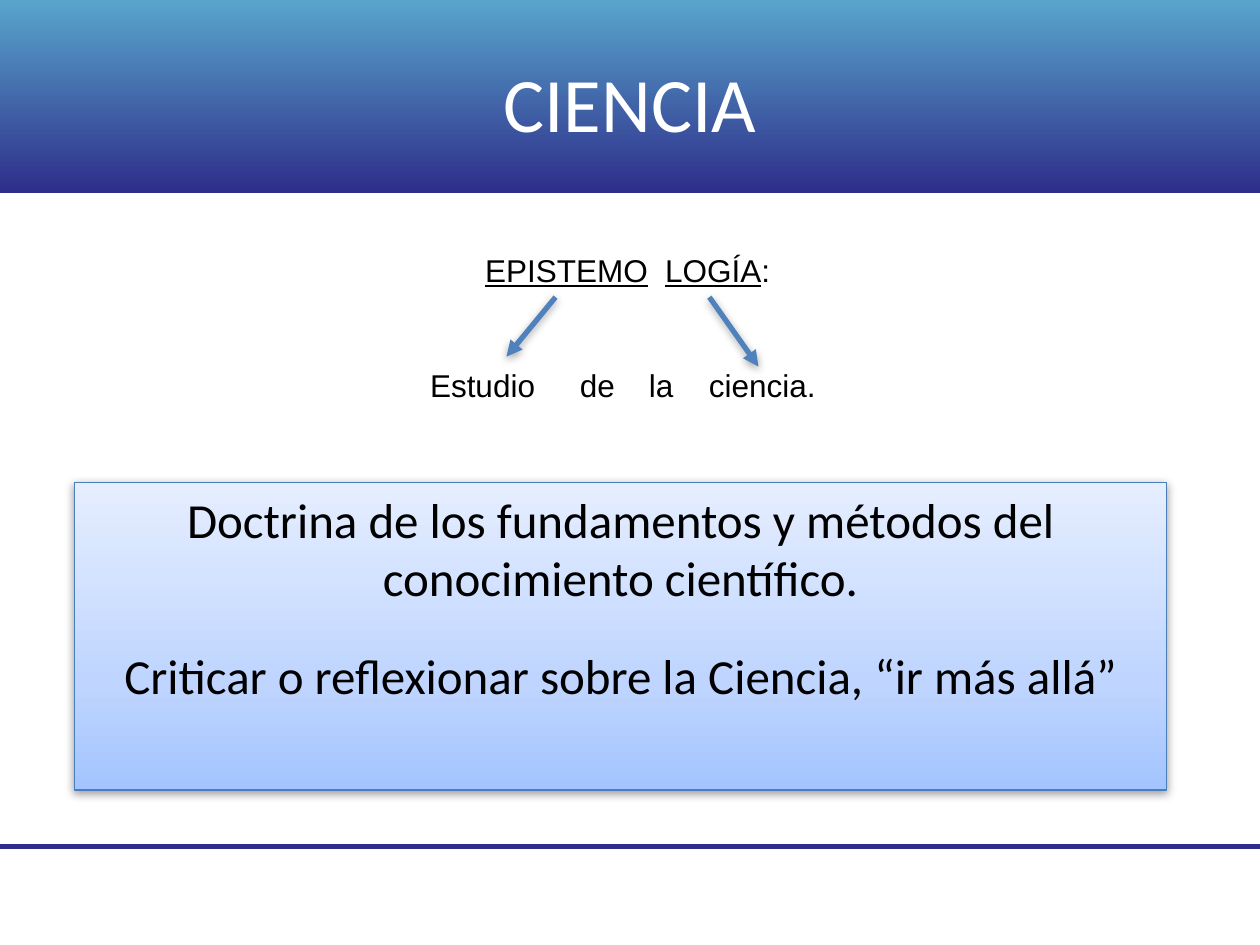
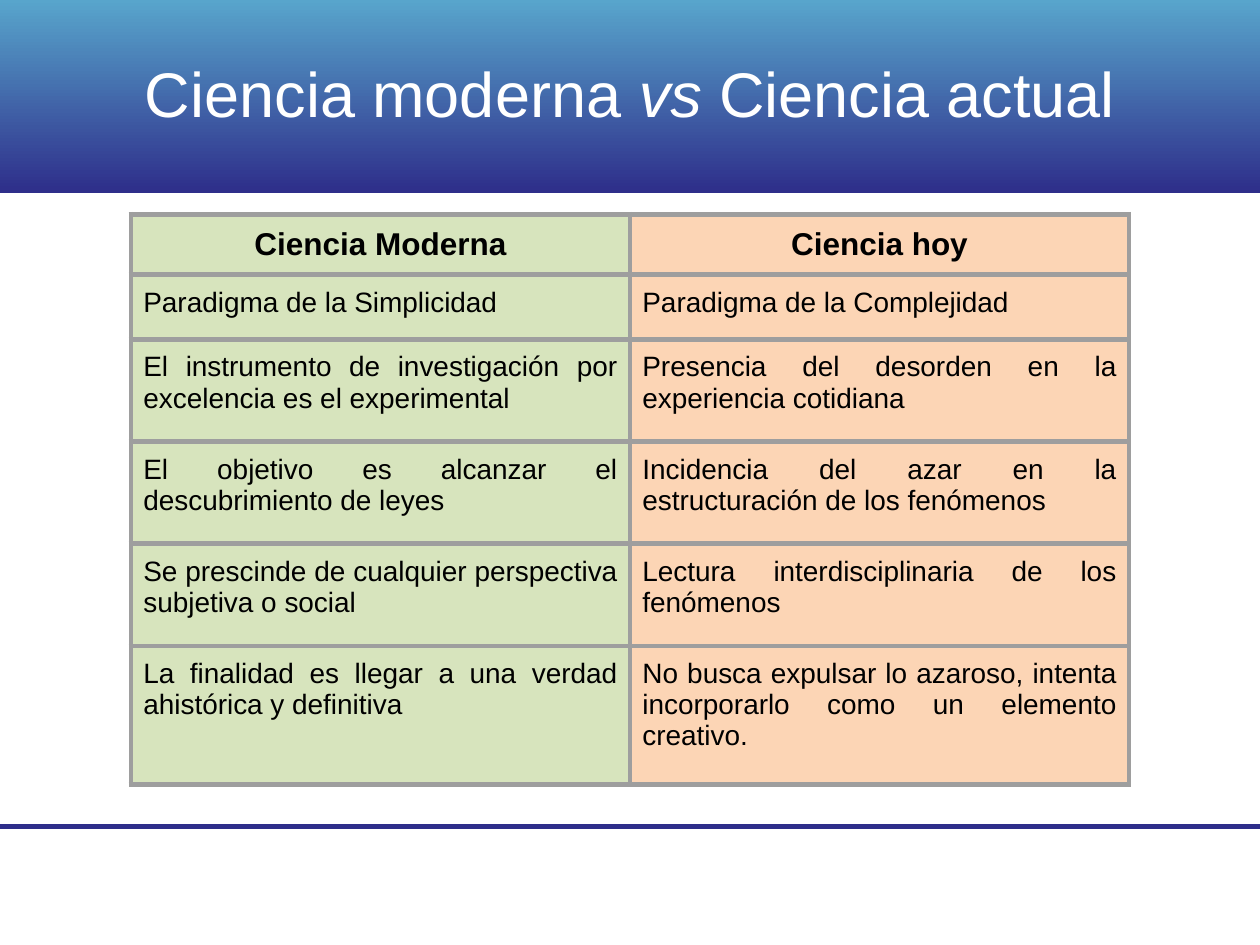
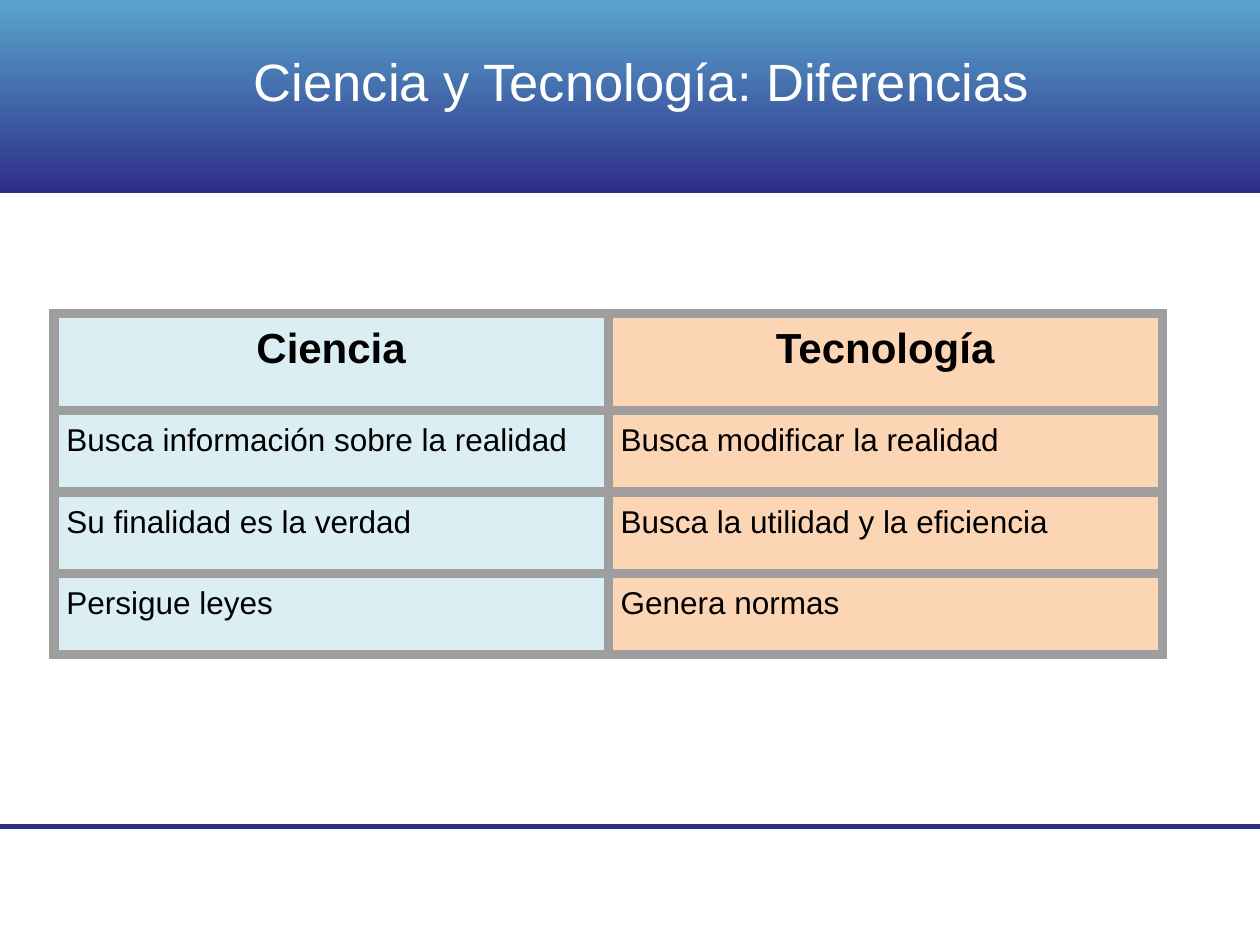
from lxml.etree import SubElement
from pptx import Presentation
from pptx.dml.color import RGBColor
from pptx.enum.shapes import MSO_CONNECTOR as Connector, MSO_SHAPE as Preset
from pptx.enum.text import MSO_ANCHOR as Anchor, PP_ALIGN as Align
from pptx.oxml.ns import qn
from pptx.util import Cm, Pt

COLORS = {
    "white": "FFFFFF", "black": "000000",
    "sky": "58A5CC", "navy": "2E2E8A",
    "arrow": "4F81BD", "edge": "4A7EBB",
    "panel_low": "A3C4FF", "panel_mid": "BFD5FF", "panel_high": "E5EEFF",
    "grid": "9E9E9E", "green": "D7E4BD", "peach": "FCD5B5", "ice": "DBEEF4",
}
WIDTH, HEIGHT = 25.4, 19.05
WIDE_INSET, SLIM_INSET = 0.25, 0.13


def rgb(name):
    return RGBColor.from_string(COLORS[name])


def add_color(parent, name):
    return SubElement(parent, qn("a:srgbClr"), val=COLORS[name])


class Deck:
    """Holds the shared style and the current slide."""

    def __init__(self):
        self.deck = Presentation()
        self.deck.slide_width, self.deck.slide_height = Cm(WIDTH), Cm(HEIGHT)
        self.page = None

    def new_page(self, rule_top):
        self.page = self.deck.slides.add_slide(self.deck.slide_layouts[5])
        band = self.rectangle((0, 0, WIDTH, 3.89), [(0, "sky"), (100, "navy")], 90)
        band.line.fill.background()
        self.line((0, rule_top), (WIDTH, rule_top), "navy")

    # Text
    def add_paragraphs(self, frame, paragraphs, size, font="Arial", color="black",
                       align=Align.LEFT, gap=0, tabs=()):
        """Each paragraph is a list of (text, marks); marks are among b, i, u."""
        for index, spans in enumerate(paragraphs):
            para = frame.add_paragraph() if index else frame.paragraphs[0]
            para.alignment = align
            if index:
                para.space_before = Pt(gap)
            if tabs:
                stops = SubElement(para._p.get_or_add_pPr(), qn("a:tabLst"))
                for stop in tabs[index]:
                    SubElement(stops, qn("a:tab"), pos=str(Cm(stop)), algn="l")
            for text, marks in spans:
                span = para.add_run()
                span.text = text
                span.font.name, span.font.size = font, Pt(size)
                span.font.color.rgb = rgb(color)
                span.font.bold = "b" in marks
                span.font.italic = "i" in marks
                span.font.underline = "u" in marks

    def set_frame(self, frame, inset, anchor=Anchor.TOP):
        frame.word_wrap = True
        frame.vertical_anchor = anchor
        frame.margin_left = frame.margin_right = Cm(WIDE_INSET)
        frame.margin_top = frame.margin_bottom = Cm(inset)

    def title(self, place, spans, size, font="Arial", inset=WIDE_INSET,
              anchor=Anchor.TOP):
        title = self.page.shapes.title
        title.left, title.top, title.width, title.height = map(Cm, place)
        self.set_frame(title.text_frame, inset, anchor)
        self.add_paragraphs(title.text_frame, [spans], size, font, "white",
                            Align.CENTER)
        # Bring the title in front of the band
        self.page.shapes._spTree.append(title._element)

    def text(self, place, paragraphs, size, **style):
        box = self.page.shapes.add_textbox(*map(Cm, place))
        self.set_frame(box.text_frame, SLIM_INSET)
        self.add_paragraphs(box.text_frame, paragraphs, size, **style)

    # Shapes and lines
    def add_shadow(self, effects, opacity, distance):
        shadow = SubElement(effects, qn("a:outerShdw"), blurRad=str(Pt(5)),
                            dist=str(Pt(distance)), dir="5400000", rotWithShape="0")
        SubElement(add_color(shadow, "black"), qn("a:alpha"), val=str(opacity * 1000))

    def rectangle(self, place, stops, angle):
        shape = self.page.shapes.add_shape(Preset.RECTANGLE, *map(Cm, place))
        shape.shadow.inherit = False
        shape.fill.gradient()
        shape.fill.gradient_angle = 360 - angle
        stop_list = shape._element.spPr.find(qn("a:gradFill")).find(qn("a:gsLst"))
        for old in list(stop_list):
            stop_list.remove(old)
        for position, color in stops:
            add_color(SubElement(stop_list, qn("a:gs"), pos=str(position * 1000)), color)
        return shape

    def panel(self, place, paragraphs, size, **style):
        stops = [(0, "panel_low"), (35, "panel_mid"), (100, "panel_high")]
        panel = self.rectangle(place, stops, 270)
        panel.line.color.rgb, panel.line.width = rgb("edge"), Pt(0.75)
        self.add_shadow(panel._element.spPr.find(qn("a:effectLst")), 38, 1.6)
        self.set_frame(panel.text_frame, SLIM_INSET)
        self.add_paragraphs(panel.text_frame, paragraphs, size, **style)

    def line(self, start, end, color, arrow=False):
        line = self.page.shapes.add_connector(
            Connector.STRAIGHT, *map(Cm, (*start, *end)))
        line.line.color.rgb, line.line.width = rgb(color), Pt(3)
        properties = line._element.spPr
        effects = SubElement(properties, qn("a:effectLst"))
        if arrow:
            SubElement(properties.find(qn("a:ln")), qn("a:tailEnd"), type="triangle")
            self.add_shadow(effects, 35, 1.8)

    # Tables
    def set_borders(self, cell, width):
        properties = cell._tc.get_or_add_tcPr()
        for side in ("lnL", "lnR", "lnT", "lnB"):
            border = SubElement(properties, qn("a:" + side), w=str(Pt(width)))
            add_color(SubElement(border, qn("a:solidFill")), "grid")

    def table(self, corner, column_width, heights, rows, fills, sizes, border,
              justify_from=None):
        place = (*corner, column_width * len(fills), sum(heights))
        table = self.page.shapes.add_table(
            len(rows), len(fills), *map(Cm, place)).table
        table.first_row = table.horz_banding = False
        for column in table.columns:
            column.width = Cm(column_width)
        for index, (height, texts) in enumerate(zip(heights, rows)):
            table.rows[index].height = Cm(height)
            header = index == 0
            align = Align.CENTER if header else Align.LEFT
            if justify_from and index >= justify_from:
                align = Align.JUSTIFY
            for column, (text, fill) in enumerate(zip(texts, fills)):
                cell = table.cell(index, column)
                self.set_borders(cell, border)
                cell.fill.solid()
                cell.fill.fore_color.rgb = rgb(fill)
                cell.margin_left = cell.margin_right = Cm(WIDE_INSET)
                cell.margin_top = cell.margin_bottom = Cm(WIDE_INSET)
                self.add_paragraphs(cell.text_frame, [[(text, "b" if header else "")]],
                                    sizes[0 if header else 1], align=align)


def science(deck):
    deck.new_page(17.07)
    deck.title((1.27, 0.69, 22.86, 2.74), [("CIENCIA", "")], 44, "Calibri",
               SLIM_INSET, Anchor.MIDDLE)
    # Word origin, with each part aligned on tab stops
    deck.text((3.71, 4.93, 16.79, 3.33), [
        [("\t", ""), ("EPISTEMO", "u"), ("\t", ""), ("LOGÍA", "u"), (":", "")],
        [("\tEstudio\tde\tla\tciencia.", "")],
    ], 18, gap=44, tabs=[(5.82, 9.45), (4.71, 7.73, 9.12, 10.33)])
    deck.line((11.2, 5.99), (10.21, 7.19), "arrow", arrow=True)
    deck.line((14.3, 5.99), (15.29, 7.39), "arrow", arrow=True)
    # Definition
    deck.panel((1.5, 9.73, 22.02, 6.2), [
        [("Doctrina de los fundamentos y métodos del conocimiento científico.", "")],
        [("Criticar o reflexionar sobre la Ciencia, “ir más allá”", "")],
    ], 28, font="Calibri", align=Align.CENTER, gap=22)


def modern_and_current(deck):
    deck.new_page(16.66)
    deck.title((1.7, 0.84, 22, 2.18), [
        ("Ciencia moderna ", ""), ("vs", "i"), (" Ciencia actual", "")], 36)
    deck.table((2.64, 4.32), 10.06, [1.22, 1.3, 2.06, 2.06, 2.06, 2.79], [
        ("Ciencia Moderna", "Ciencia hoy"),
        ("Paradigma de la Simplicidad", "Paradigma de la Complejidad"),
        ("El instrumento de investigación por excelencia es el experimental",
         "Presencia del desorden en la experiencia cotidiana"),
        ("El objetivo es alcanzar el descubrimiento de leyes",
         "Incidencia del azar en la estructuración de los fenómenos"),
        ("Se prescinde de cualquier perspectiva subjetiva o social",
         "Lectura interdisciplinaria de los fenómenos"),
        ("La finalidad es llegar a una verdad ahistórica y definitiva",
         "No busca expulsar lo azaroso, intenta incorporarlo como un elemento "
         "creativo."),
    ], ("green", "peach"), (18, 16), 3, justify_from=2)


def science_and_technology(deck):
    deck.new_page(16.66)
    deck.title((2.79, 0.74, 20.29, 1.75),
               [("Ciencia y Tecnología: Diferencias", "")], 30)
    deck.table((1.09, 6.32), 11.17, [1.96, 1.64, 1.64, 1.64], [
        ("Ciencia", "Tecnología"),
        ("Busca información sobre la realidad", "Busca modificar la realidad"),
        ("Su finalidad es la verdad", "Busca la utilidad y la eficiencia"),
        ("Persigue leyes", "Genera normas"),
    ], ("ice", "peach"), (24, 18), 6)


def main():
    deck = Deck()
    science(deck)
    modern_and_current(deck)
    science_and_technology(deck)
    deck.deck.save("out.pptx")


if __name__ == "__main__":
    main()
